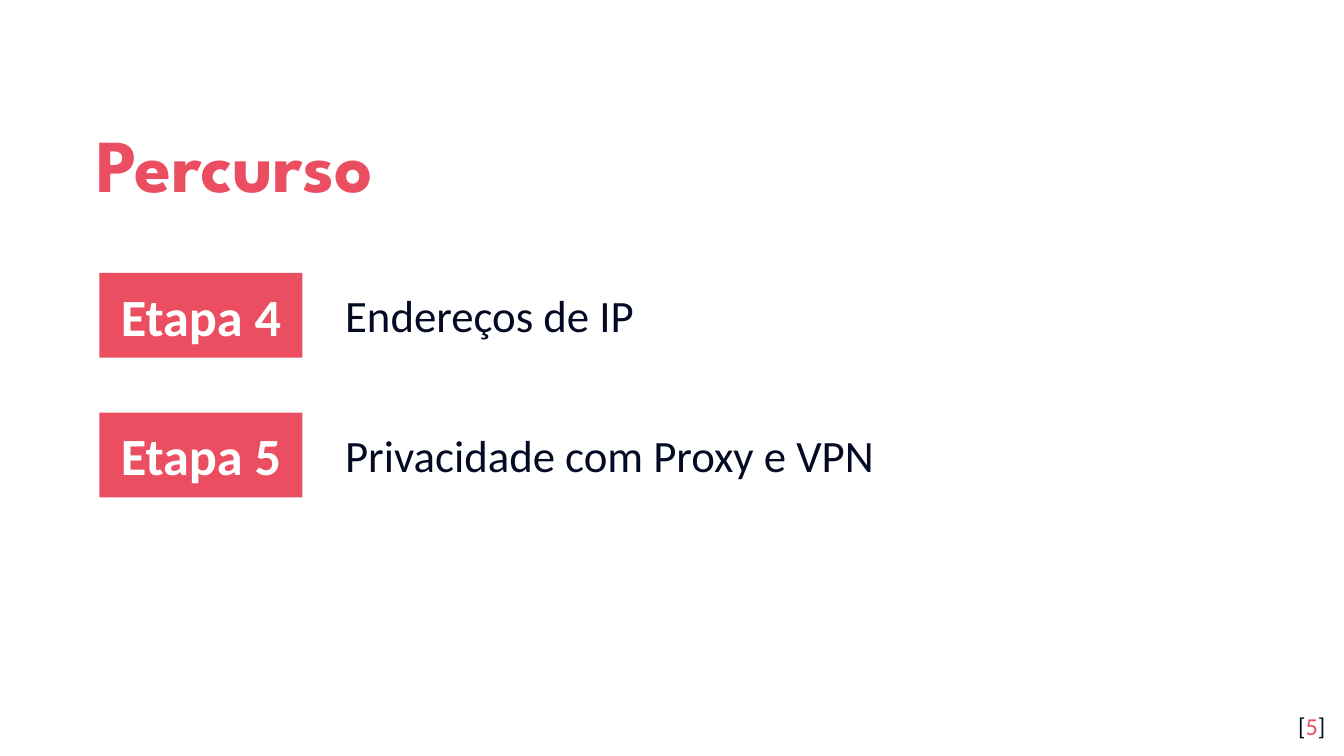
"""Build the course path slide with its two numbered stages."""
from typing import NamedTuple

from pptx import Presentation
from pptx.dml.color import RGBColor
from pptx.enum.shapes import MSO_SHAPE
from pptx.enum.text import MSO_ANCHOR, MSO_AUTO_SIZE, PP_ALIGN
from pptx.util import Pt

RECT = MSO_SHAPE.RECTANGLE
TOP, MID = MSO_ANCHOR.TOP, MSO_ANCHOR.MIDDLE
LEFT, MID_ROW, RIGHT = PP_ALIGN.LEFT, PP_ALIGN.CENTER, PP_ALIGN.RIGHT
FIXED = MSO_AUTO_SIZE.NONE
RED, NAVY, WHITE = "EA4E60", "040A24", "FFFFFF"
FIRST, STEP = 146.2, 74.9


class Box(NamedTuple):
    x: float
    y: float
    w: float
    h: float

    def pts(self) -> list:
        return [Pt(v) for v in self]


class Stage(NamedTuple):
    tag: str
    topic: str


STAGES = [
    Stage("Etapa 4", "Endereços de IP"),
    Stage("Etapa 5", "Privacidade com Proxy e VPN"),
]


def paint(target, color: str) -> None:
    target.rgb = RGBColor.from_string(color)


def write(shape, *parts: tuple[str, str], size: float, font="Calibri",
          bold=False, align=LEFT, anchor=TOP, pad=7.2, lines=1.0) -> None:
    frame = shape.text_frame
    frame.auto_size = FIXED
    frame.word_wrap = True
    frame.vertical_anchor = anchor
    frame.margin_left = frame.margin_right = Pt(7.2)
    frame.margin_top = frame.margin_bottom = Pt(pad)
    para = frame.paragraphs[0]
    para.alignment = align
    para.line_spacing = lines
    for text, color in parts:
        run = para.add_run()
        run.text = text
        run.font.name = font
        run.font.size = Pt(size)
        run.font.bold = bold
        paint(run.font.color, color)


def draw_stage(slide, stage: Stage, y: float) -> None:
    tag = slide.shapes.add_shape(RECT, *Box(53.3, y, 108.7, 45.4).pts())
    tag.shadow.inherit = False
    tag.fill.solid()
    paint(tag.fill.fore_color, RED)
    tag.line.fill.background()
    write(tag, (stage.tag, WHITE), size=28, bold=True, align=MID_ROW, anchor=MID)
    topic = slide.shapes.add_textbox(*Box(177.8, y + 4.3, 486, 36).pts())
    write(topic, (stage.topic, NAVY), size=24, pad=3.6)


def main() -> None:
    deck = Presentation()
    deck.slide_width, deck.slide_height = Pt(720), Pt(405)
    slide = deck.slides.add_slide(deck.slide_layouts[5])
    title = slide.shapes.title
    title.left, title.top, title.width, title.height = Box(44.6, 50.4, 583.2, 66.2).pts()
    write(title, ("Percurso", RED), size=40, font="League Spartan",
          bold=True, anchor=MID, lines=1.15)
    for i, stage in enumerate(STAGES):
        draw_stage(slide, stage, FIRST + i * STEP)
    page = slide.shapes.add_textbox(*Box(673.9, 373.7, 43.2, 31).pts())
    write(page, ("[", NAVY), ("5", RED), ("]", NAVY), size=13, align=RIGHT)
    deck.save("out.pptx")


if __name__ == "__main__":
    main()
